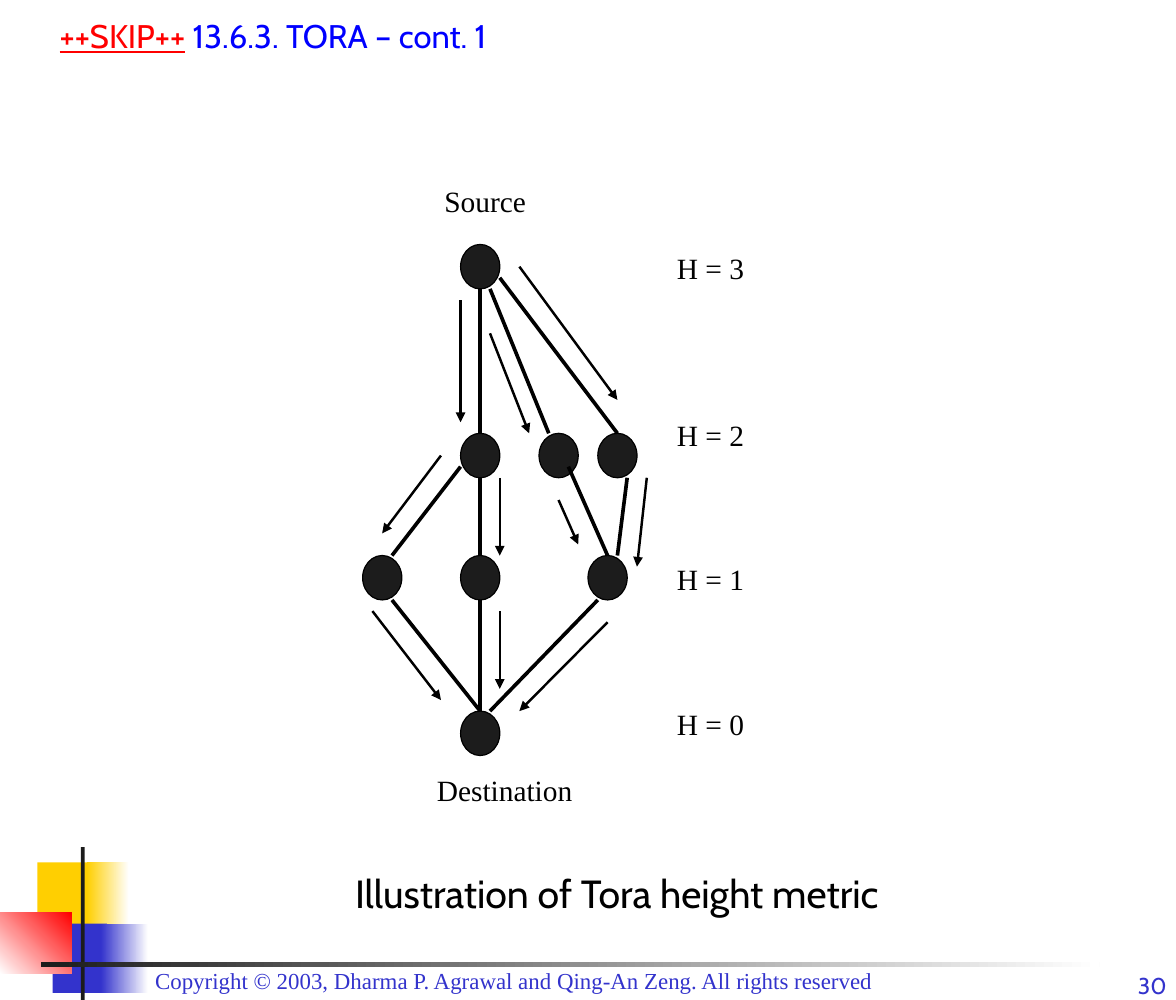
from lxml.etree import SubElement
from pptx import Presentation
from pptx.dml.color import RGBColor
from pptx.enum.shapes import MSO_CONNECTOR, MSO_SHAPE
from pptx.enum.text import MSO_ANCHOR, PP_ALIGN
from pptx.oxml.ns import qn
from pptx.util import Cm, Pt

BLACK = RGBColor(0x00, 0x00, 0x00)
WHITE = RGBColor(0xFF, 0xFF, 0xFF)
CHARCOAL = RGBColor(0x1C, 0x1C, 0x1C)
YELLOW = RGBColor(0xFF, 0xCF, 0x01)
INDIGO = RGBColor(0x33, 0x33, 0xCC)
RED = RGBColor(0xFF, 0x00, 0x00)
BLUE = RGBColor(0x00, 0x00, 0xFF)

SERIF, SANS = "Times New Roman", "Cabin"
WIDTH, HEIGHT = 25.4, 21.59
COL, ROW = WIDTH / 120, HEIGHT / 90
NODE = 4

BLOCKS = [
    (0.81, 18.62, 1.22, 1.5, [YELLOW], 0),
    (1.88, 18.62, 0.91, 1.5, [YELLOW, WHITE], 0),
    (1.14, 19.94, 1.17, 1.5, [INDIGO], 0),
    (2.18, 19.94, 1.02, 1.5, [INDIGO, WHITE], 0),
    (0, 19.71, 1.55, 1.32, [WHITE, RED], 45),
    (1.75, 18.29, 0.08, 3.3, [CHARCOAL], 0),
    (0.89, 20.78, 22.86, 0.1, [CHARCOAL, WHITE], 0),
]
NODES = [(47, 22), (47, 39), (55, 39), (61, 39),
         (37, 50), (47, 50), (60, 50), (47, 64)]
LINKS = [
    (49, 26, 49, 39), (49, 43, 49, 50), (49, 54, 49, 64), (50, 26, 56, 39),
    (51, 25, 63, 39), (47, 42, 40, 50), (40, 54, 49, 64), (64, 43, 63, 50),
    (58, 42, 62, 50), (61, 54, 50, 64),
]
ARROWS = [
    (47, 27, 47, 38), (51, 43, 51, 50), (38, 55, 45, 63), (53, 24, 63, 36),
    (57, 45, 59, 49), (66, 43, 65, 51), (62, 56, 53, 64), (45, 41, 39, 48),
    (51, 55, 51, 62), (50, 30, 54, 39),
]
LABELS = [("Source", 43, 16, 13), ("Destination", 43, 69, 17),
          ("H = 0", 66, 63, 13), ("H = 1", 66, 50, 13),
          ("H = 2", 66, 37, 13), ("H = 3", 66, 22, 13)]


class Deck:
    """Draws styled elements on the current slide."""

    def __init__(self, s):
        self.s = s

    def shape(self, kind, x, y, w, h, colors, angle=0, outline=None):
        sp = self.s.shapes.add_shape(kind, Cm(x), Cm(y), Cm(w), Cm(h))
        sp.shadow.inherit = False
        if len(colors) == 1:
            sp.fill.solid()
            sp.fill.fore_color.rgb = colors[0]
        else:
            sp.fill.gradient()
            sp.fill.gradient_angle = angle
            for stop, color in zip(sp.fill.gradient_stops, colors):
                stop.color.rgb = color
        if outline is None:
            sp.line.fill.background()
        else:
            sp.line.color.rgb = outline
            sp.line.width = Pt(0.75)

    def node(self, col, row):
        self.shape(MSO_SHAPE.OVAL, col * COL, row * ROW, NODE * COL, NODE * ROW,
                   [CHARCOAL], outline=BLACK)

    def line(self, x1, y1, x2, y2, width, arrow=False):
        ends = Cm(x1 * COL), Cm(y1 * ROW), Cm(x2 * COL), Cm(y2 * ROW)
        c = self.s.shapes.add_connector(MSO_CONNECTOR.STRAIGHT, *ends)
        c.line.color.rgb = BLACK
        c.line.width = Pt(width)
        if arrow:
            SubElement(c.line._get_or_add_ln(), qn("a:tailEnd"), type="triangle")
        SubElement(c._element.spPr, qn("a:effectLst"))

    def text(self, x, y, w, h, runs, size, name, align=PP_ALIGN.LEFT, **frame):
        tf = self.s.shapes.add_textbox(Cm(x), Cm(y), Cm(w), Cm(h)).text_frame
        for key, value in {"word_wrap": True, **frame}.items():
            setattr(tf, key, value)
        p = tf.paragraphs[0]
        p.alignment = align
        for words, color, underline in runs:
            r = p.add_run()
            r.text = words
            r.font.color.rgb = color
            style = {"size": Pt(size), "name": name, "underline": underline}
            for key, value in style.items():
                setattr(r.font, key, value)


def main():
    prs = Presentation()
    prs.slide_width, prs.slide_height = Cm(WIDTH), Cm(HEIGHT)
    deck = Deck(prs.slides.add_slide(prs.slide_layouts[6]))

    for *box, colors, angle in BLOCKS:
        deck.shape(MSO_SHAPE.RECTANGLE, *box, colors, angle)
    notice = "Copyright © 2003, Dharma P. Agrawal and Qing-An Zeng. All rights reserved"
    deck.text(3.1, 20.75, 19.25, 0.86, [(notice, INDIGO, False)], 14, SERIF)
    deck.text(23.42, 20.98, 2.03, 0.69, [("30", INDIGO, False)], 14, SANS,
              PP_ALIGN.RIGHT, margin_top=0, margin_bottom=0)

    for node in NODES:
        deck.node(*node)
    for link in LINKS:
        deck.line(*link, 2.25)
    for arrow in ARROWS:
        deck.line(*arrow, 1.5, arrow=True)
    for words, col, row, cols in LABELS:
        deck.text(col * COL, row * ROW, cols * COL, 1.02,
                  [(words, BLACK, False)], 18, SERIF, PP_ALIGN.CENTER)

    caption = [("Illustration of Tora height metric", BLACK, False)]
    deck.text(2.95, 18.24, 20.75, 1.68, caption, 24, SANS, PP_ALIGN.CENTER,
              vertical_anchor=MSO_ANCHOR.BOTTOM)
    heading = [("++SKIP++", RED, True), (" ", BLACK, False),
               ("13.6.3. TORA – cont. 1", BLUE, False)]
    deck.text(1.04, 0, 23.8, 1.32, heading, 20, SANS,
              vertical_anchor=MSO_ANCHOR.BOTTOM)
    prs.save("out.pptx")


if __name__ == "__main__":
    main()
